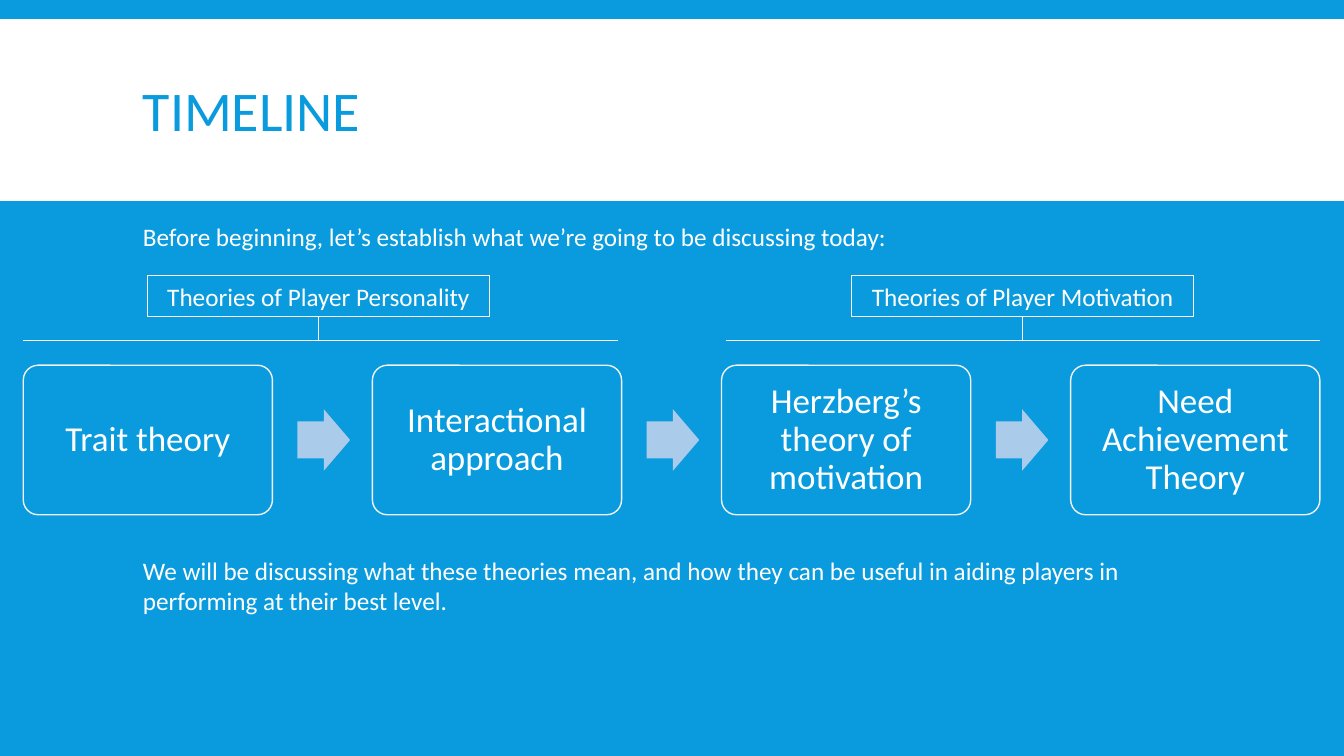
from pptx import Presentation
from pptx.dml.color import RGBColor
from pptx.enum.shapes import MSO_CONNECTOR, MSO_SHAPE
from pptx.enum.text import MSO_ANCHOR, PP_ALIGN
from pptx.oxml.ns import qn
from pptx.util import Pt

BLUE, WHITE, PALE, ARROW = "099BDD", "FFFFFF", "F2F2F2", "ABCBEB"
THEORIES = ["Trait theory", "Interactional approach",
            "Herzberg’s theory of motivation", "Need Achievement Theory"]
# Heading, left of its box, left of the bar below it
TOPICS = [("Theories of Player Personality", 105.1, 16.6),
          ("Theories of Player Motivation", 608.1, 518.4)]
BODY = {"size": Pt(18), "name": "Calibri"}
BOX_FONT = {"size": Pt(25), "name": "Calibri"}
TITLE_FONT = {"size": Pt(40), "name": "Calibri"}
BOX_LEFT, BOX_TOP, BOX_W, BOX_H, BOX_STEP = 16.6, 260.9, 178, 106.8, 249.4
ARROW_W, ARROW_H = 37.6, 44
LABEL_TOP, LABEL_W, LABEL_H, BAR_Y, BAR_W = 197.1, 244.8, 29.1, 243.4, 424.8


def rgb(color):
    return RGBColor.from_string(color)


def set_text(sp, text, font, color=WHITE, align=PP_ALIGN.LEFT,
             anchor=MSO_ANCHOR.TOP, spacing=1.0, inset=None):
    tf = sp.text_frame
    tf.word_wrap = True
    tf.vertical_anchor = anchor
    if inset is not None:
        for side in ("left", "right", "top", "bottom"):
            setattr(tf, f"margin_{side}", Pt(inset))
    p = tf.paragraphs[0]
    p.alignment = align
    p.line_spacing = spacing
    r = p.add_run()
    r.text = text
    for key, value in font.items():
        setattr(r.font, key, value)
    r.font.color.rgb = rgb(color)


def add_text(s, box, text, font, **options):
    sp = s.shapes.add_textbox(*map(Pt, box))
    set_text(sp, text, font, **options)


def add_block(s, kind, box, fill=None, line=None, width=1, adjust=()):
    sp = s.shapes.add_shape(kind, *map(Pt, box))
    sp.shadow.inherit = False
    for i, value in enumerate(adjust):
        sp.adjustments[i] = value
    if fill:
        sp.fill.solid()
        sp.fill.fore_color.rgb = rgb(fill)
    else:
        sp.fill.background()
    if line:
        sp.line.color.rgb = rgb(line)
        sp.line.width = Pt(width)
    else:
        sp.line.fill.background()
    return sp


def add_line(s, x1, y1, x2, y2):
    line = s.shapes.add_connector(MSO_CONNECTOR.STRAIGHT,
                                  *map(Pt, (x1, y1, x2, y2)))
    line.line.color.rgb = rgb(WHITE)
    line.line.width = Pt(0.75)
    sp_pr = line._element.spPr
    sp_pr.append(sp_pr.makeelement(qn("a:effectLst"), {}))
    return line


def add_topic(s, text, left, bar_left):
    """Add a heading box with a stem down to the bar over its theories."""
    label = add_block(s, MSO_SHAPE.RECTANGLE,
                      (left, LABEL_TOP, LABEL_W, LABEL_H),
                      line=WHITE, width=0.75)
    set_text(label, text, BODY, align=PP_ALIGN.CENTER)
    add_line(s, bar_left, BAR_Y, bar_left + BAR_W, BAR_Y)
    middle = left + LABEL_W / 2
    stem = add_line(s, middle, BAR_Y, middle, LABEL_TOP + LABEL_H)
    stem.end_connect(label, 2)


def add_theories(s):
    gap = BOX_STEP - BOX_W
    for i, theory in enumerate(THEORIES):
        left = BOX_LEFT + i * BOX_STEP
        sp = add_block(s, MSO_SHAPE.ROUNDED_RECTANGLE,
                       (left, BOX_TOP, BOX_W, BOX_H),
                       BLUE, PALE, adjust=[0.1])
        set_text(sp, theory, BOX_FONT, align=PP_ALIGN.CENTER,
                 anchor=MSO_ANCHOR.MIDDLE, spacing=0.9, inset=10)
        if i < len(THEORIES) - 1:
            add_block(s, MSO_SHAPE.RIGHT_ARROW,
                      (left + BOX_W + (gap - ARROW_W) / 2 + 1,
                       BOX_TOP + (BOX_H - ARROW_H) / 2, ARROW_W, ARROW_H),
                      ARROW, adjust=[0.6, 0.5])


def main():
    prs = Presentation()
    prs.slide_width, prs.slide_height = Pt(960), Pt(540)
    s = prs.slides.add_slide(prs.slide_layouts[6])
    s.background.fill.solid()
    s.background.fill.fore_color.rgb = rgb(BLUE)

    add_block(s, MSO_SHAPE.RECTANGLE, (0, 13.7, 960, 129.8), WHITE)
    add_text(s, (95, 22.3, 770.4, 118.8), "TIMELINE", TITLE_FONT, color=BLUE,
             anchor=MSO_ANCHOR.MIDDLE, spacing=0.85)
    add_theories(s)
    for topic in TOPICS:
        add_topic(s, *topic)
    add_text(s, (95, 154.8, 632.2, 29.1),
             "Before beginning, let’s establish what we’re going to be "
             "discussing today:", BODY)
    add_text(s, (95, 393.1, 789.1, 50.9),
             "We will be discussing what these theories mean, and how they "
             "can be useful in aiding players in performing at their best "
             "level.", BODY)
    prs.save("out.pptx")


if __name__ == "__main__":
    main()
